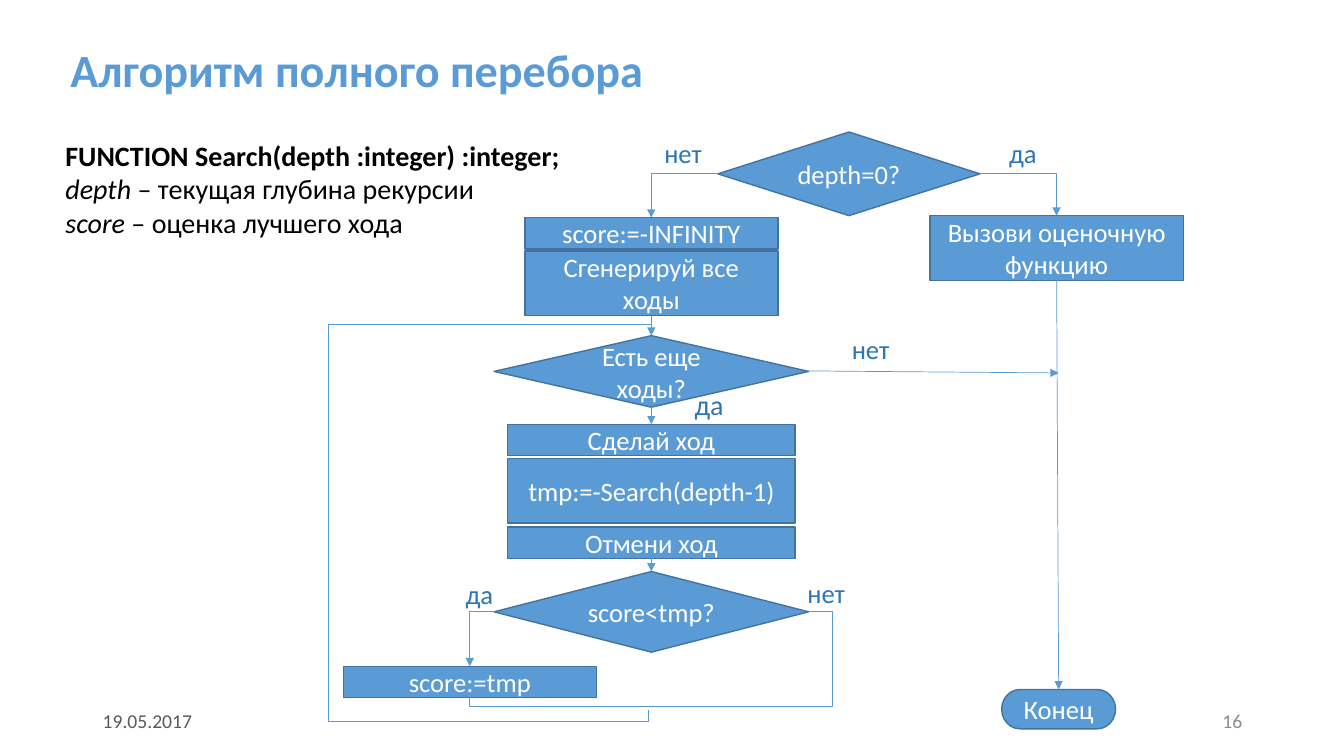
from lxml import etree
from pptx import Presentation
from pptx.dml.color import RGBColor
from pptx.enum.shapes import MSO_CONNECTOR, MSO_SHAPE
from pptx.enum.text import MSO_ANCHOR, PP_ALIGN
from pptx.oxml.ns import qn
from pptx.util import Inches, Pt

STEP = MSO_SHAPE.FLOWCHART_PROCESS
TEST = MSO_SHAPE.FLOWCHART_DECISION
STOP = MSO_SHAPE.FLOWCHART_TERMINATOR
LEFT, MID, RIGHT = PP_ALIGN.LEFT, PP_ALIGN.CENTER, PP_ALIGN.RIGHT
TOP, CENTER = MSO_ANCHOR.TOP, MSO_ANCHOR.MIDDLE
STRAIGHT, ELBOW = MSO_CONNECTOR.STRAIGHT, MSO_CONNECTOR.ELBOW

THEME = {
    "font": "Calibri", "blue": "5B9BD5", "edge": "43739E", "label": "2E75B6",
    "white": "FFFFFF", "ink": "000000", "date": "595959", "page": "8C8C8C",
    "title": 33, "body": 20, "node": 19, "foot": 14, "wire": 0.5, "rim": 1,
}

# Content: each text run is (words, bold, italic)
TITLE = [[("Алгоритм полного перебора", True, False)]]
INTRO = [
    [("FUNCTION Search(depth :integer) :integer;", True, False)],
    [("depth ", False, True), ("– текущая глубина рекурсии", False, False)],
    [("score", False, True), (" – оценка лучшего хода", False, False)],
]
DATE = [[("19.05.2017", False, False)]]
PAGE = [[("16", False, False)]]

# Flowchart columns (centre lines) and the place of each node
MAIN, SIDE, SAVE, ROOT = 6.46, 10.48, 4.66, 8.42
NODES = [  # form, words, centre x, top, width, height
    (TEST, "depth=0?", ROOT, 1.31, 2.6, 0.83),
    (STEP, "Вызови оценочную функцию", SIDE, 2.14, 2.51, 0.64),
    (TEST, "Есть еще ходы?", MAIN, 3.33, 3.12, 0.71),
    (TEST, "score<tmp?", MAIN, 5.67, 3.12, 0.8),
    (STOP, "Конец", 10.5, 6.84, 1.13, 0.39),
    (STEP, "score:=-INFINITY", MAIN, 2.16, 2.51, 0.31),
    (STEP, "Сгенерируй все ходы", MAIN, 2.49, 2.51, 0.64),
    (STEP, "score:=tmp", SAVE, 6.61, 2.51, 0.31),
    (STEP, "Сделай ход", MAIN, 4.21, 2.85, 0.31),
    (STEP, "tmp:=-Search(depth-1)", MAIN, 4.55, 2.85, 0.64),
    (STEP, "Отмени ход", MAIN, 5.23, 2.85, 0.31),
]
LABELS = [  # words, left, top, width, size
    ("да", 6.79, 3.79, 0.49, "body"),
    ("нет", 6.49, 1.31, 0.58, "node"),
    ("да", 9.91, 1.31, 0.48, "node"),
    ("нет", 8.35, 3.25, 0.58, "node"),
    ("да", 4.52, 5.68, 0.48, "node"),
    ("нет", 7.91, 5.67, 0.58, "node"),
]
ARROWS = [  # straight: from, to
    ((MAIN, 3.14), (MAIN, 3.33)),
    ((MAIN, 4.04), (MAIN, 4.21)),
    ((MAIN, 5.54), (MAIN, 5.67)),
    ((SIDE, 2.78), (10.5, 6.84)),
    ((8.02, 3.68), (10.5, 3.7)),
]
TURNS = [  # one corner: from, to
    ((9.72, 1.72), (SIDE, 2.14)),
    ((7.12, 1.72), (MAIN, 2.16)),
    ((4.91, 6.07), (SAVE, 6.61)),
]

deck = Presentation()
deck.slide_width, deck.slide_height = Inches(13.33), Inches(7.5)
slide = deck.slides.add_slide(deck.slide_layouts[6])


def color(name):
    return RGBColor.from_string(THEME[name])


def style(para, size, tone, align):
    para.alignment = align
    para.font.name = THEME["font"]
    para.font.size = Pt(THEME[size])
    para.font.color.rgb = color(tone)


def write(lines, box, size, tone, align=LEFT, anchor=TOP, wrap=True):
    frame = slide.shapes.add_textbox(*map(Inches, box)).text_frame
    frame.word_wrap, frame.vertical_anchor = wrap, anchor
    for i, line in enumerate(lines):
        para = frame.add_paragraph() if i else frame.paragraphs[0]
        style(para, size, tone, align)
        for words, bold, slant in line:
            run = para.add_run()
            run.text = words
            run.font.bold, run.font.italic = bold, slant
    return frame


def node(form, words, mid, top, width, height):
    box = (mid - width / 2, top, width, height)
    shape = slide.shapes.add_shape(form, *map(Inches, box))
    shape.shadow.inherit = False
    shape.fill.solid()
    shape.fill.fore_color.rgb = color("blue")
    shape.line.color.rgb = color("edge")
    shape.line.width = Pt(THEME["rim"])
    frame = shape.text_frame
    frame.word_wrap, frame.vertical_anchor = True, CENTER
    frame.text = words
    style(frame.paragraphs[0], "node", "white", MID)


def wire(start, end, bend=None, ratios=(), turn=0, head=True):
    """Line from start to end; bend counts the segments of an elbow."""
    kind = ELBOW if bend else STRAIGHT
    link = slide.shapes.add_connector(kind, *map(Inches, start + end))
    link.line.color.rgb = color("blue")
    link.line.width = Pt(THEME["wire"])
    props = link.element.spPr
    etree.SubElement(props, qn("a:effectLst"))
    if head:
        etree.SubElement(props.find(qn("a:ln")), qn("a:tailEnd"), type="triangle")
    if turn:
        props.find(qn("a:xfrm")).set("rot", str(turn * 60000))
    if bend:
        shape = props.find(qn("a:prstGeom"))
        shape.set("prst", f"bentConnector{bend}")
        guides = shape.find(qn("a:avLst"))
        for i, ratio in enumerate(ratios, 1):
            value = f"val {round(ratio * 100000)}"
            etree.SubElement(guides, qn("a:gd"), name=f"adj{i}", fmla=value)


# Heading, description and footer
head = write(TITLE, (0.6, 0.13, 9.37, 1.18), "title", "blue", anchor=CENTER)
head.paragraphs[0].line_spacing = 0.9
write(INTRO, (0.55, 1.32, 5.18, 1.45), "body", "ink")
write(DATE, (0.92, 6.95, 3, 0.4), "foot", "date", anchor=CENTER)
write(PAGE, (9.42, 6.95, 3, 0.4), "foot", "page", RIGHT, CENTER)

# Flowchart nodes and branch labels
for item in NODES:
    node(*item)
for words, left, top, width, size in LABELS:
    write([[(words, False, False)]], (left, top, width, 0.42), size, "label",
          wrap=False)

# Arrows
for start, end in ARROWS:
    wire(start, end)
for start, end in TURNS:
    wire(start, end, bend=2)

# "No" branch around score:=tmp, then the loop back up (a quarter turn)
wire((8.02, 6.07), (SAVE, 6.91), 4, (-0.07, 1.12), head=False)
wire((8.31, 5.2), (4.59, 5.17), 5, (-0.03, -106.2, 1.03), turn=90, head=False)

deck.save("out.pptx")
